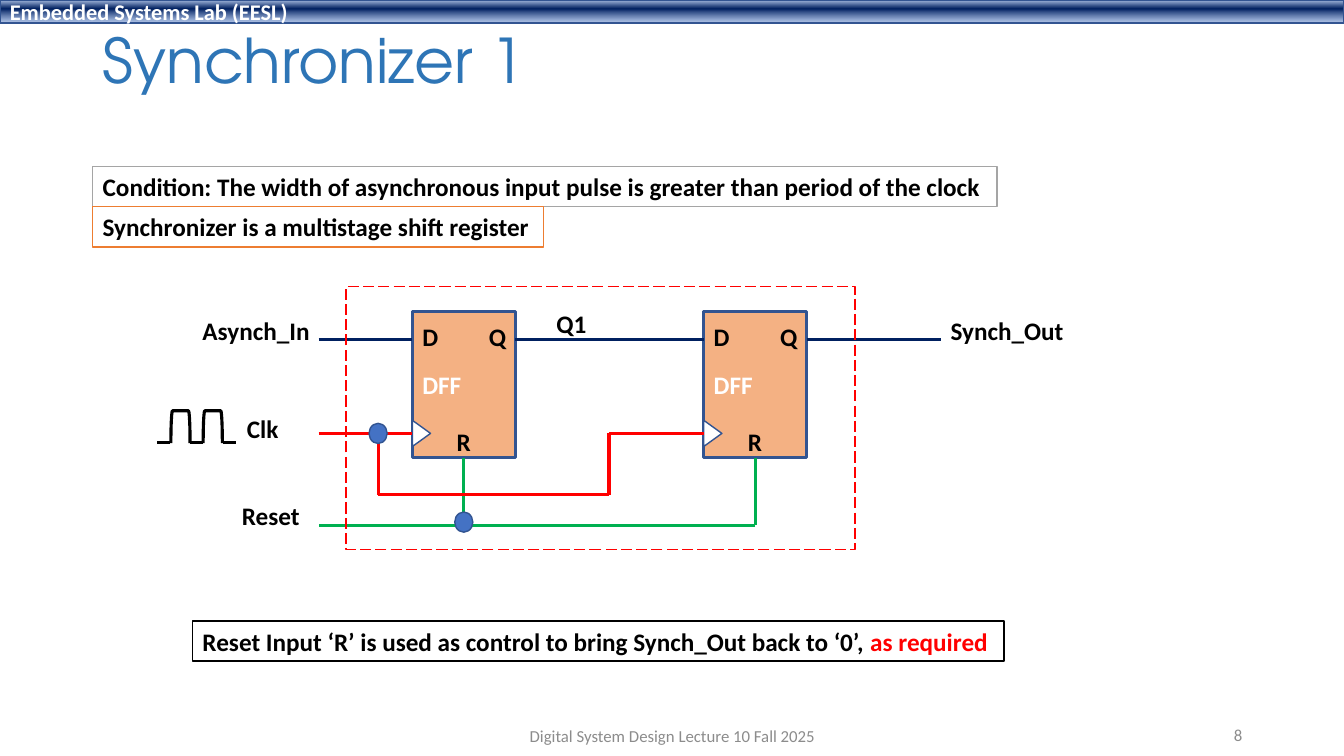
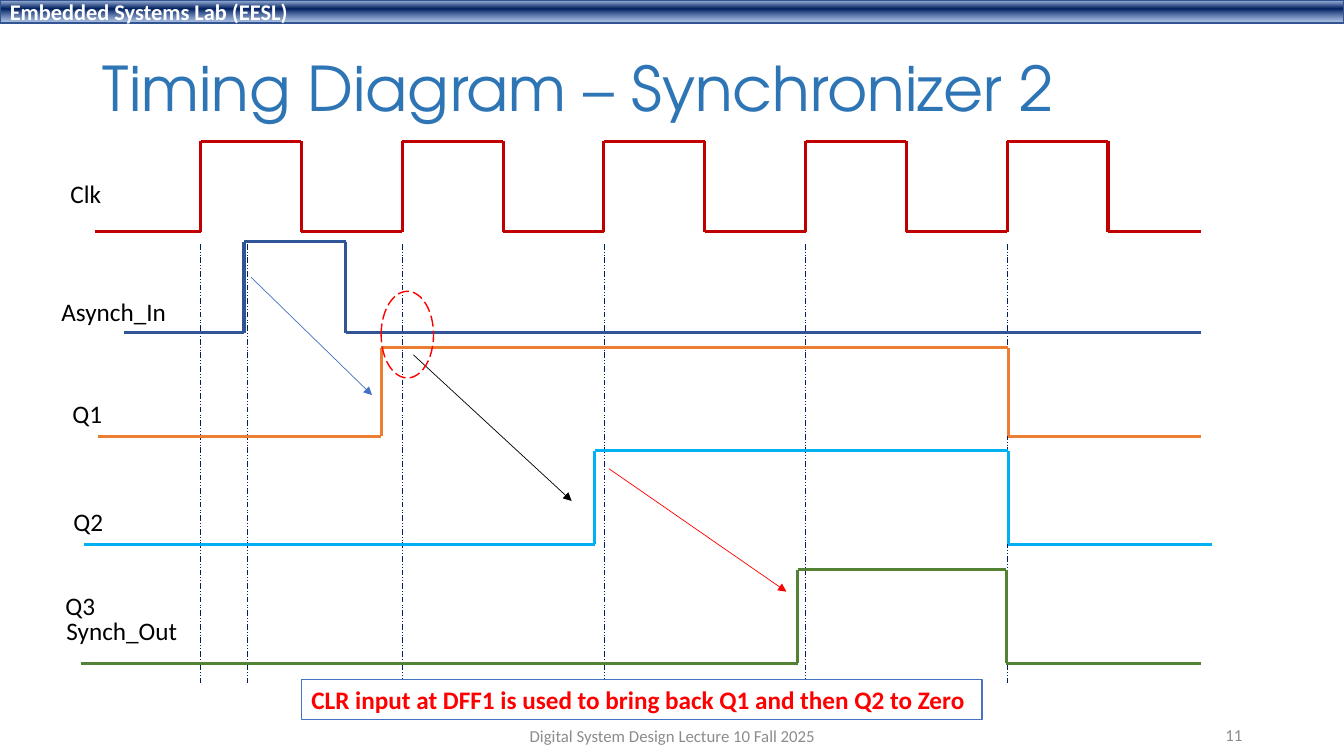
from itertools import pairwise

from lxml import etree
from pptx import Presentation
from pptx.dml.color import RGBColor
from pptx.enum.dml import MSO_LINE
from pptx.enum.shapes import MSO_CONNECTOR, MSO_SHAPE
from pptx.enum.text import MSO_ANCHOR, MSO_AUTO_SIZE, PP_ALIGN
from pptx.oxml import parse_xml
from pptx.oxml.ns import nsdecls, qn
from pptx.util import Inches, Pt

LEFT, CENTER, RIGHT = PP_ALIGN.LEFT, PP_ALIGN.CENTER, PP_ALIGN.RIGHT
TOP, MIDDLE = MSO_ANCHOR.TOP, MSO_ANCHOR.MIDDLE
LONG_DASH, DASH_DOT_DOT = MSO_LINE.LONG_DASH, MSO_LINE.DASH_DOT_DOT
BOTTOM_SITE = 2

# Shared style
COLORS = {
    "black": "000000", "white": "FFFFFF", "gray": "A5A5A5", "footer": "8C8C8C",
    "title": "2E75B6", "navy": "002060", "outline": "325491", "blue": "4472C4",
    "steel": "2F5597", "sky": "00B0F0", "red": "FF0000", "dark_red": "C00000",
    "orange": "ED7D31", "peach": "F4B183", "green": "00B050", "olive": "548235",
}
BODY_FONT, TITLE_FONT = "Calibri", "TeX Gyre Adventor"
LAB = "Embedded Systems Lab (EESL)"
FOOTER = "Digital System Design Lecture 10 Fall 2025"
BAND_GRADIENT = [(2, "ABC0E4", 100), (38, "002060", 100), (93, "7E9ED6", 64)]

# Synchronizer 1: boxed notes as (left, top, width, border, [(text, colour)])
NOTES = [
    (0.92, 1.65, 8.97, "gray",
     [("Condition: The width of asynchronous input pulse is greater than "
       "period of the clock", "black")]),
    (0.92, 2.05, 4.47, "orange",
     [("Synchronizer is a multistage shift register", "black")]),
    (1.91, 6.16, 8.05, "black",
     [("Reset Input ‘R’ is used as control to bring Synch_Out back to ‘0’, ", "black"),
      ("as required", "red")]),
]
SIGNAL_NAMES = [
    ("Asynch_In", 1.91, 3.08, 1.27), ("Clk", 2.35, 4.05, 0.52),
    ("Reset", 2.3, 4.91, 0.78), ("Q1", 5.42, 3.01, 0.5),
    ("Synch_Out", 9.33, 3.08, 1.33),
]
FLIP_FLOP_LEFTS = [4.09, 6.98]
FLIP_FLOP_TOP, FLIP_FLOP_W, FLIP_FLOP_H = 3.09, 1.02, 1.45
PINS = [("D", 0, 0.05, 0.36), ("Q", 0.66, 0.05, 0.38), ("R", 0.34, 1.09, 0.34)]
INPUT_X, DATA_Y, CLOCK_Y, RESET_Y = 3.16, 3.37, 4.3, 5.21
BRANCH_X, BRANCH_Y, RISE_X, OUTPUT_X = 3.75, 4.91, 6.04, 9.33

# Timing diagram: signals as (colour, start, end, low, high, edges)
CLOCK_EDGES = [1.99 + step for step in range(10)]
WAVES = [
    ("dark_red", 0.94, 11.91, 2.3, 1.4, CLOCK_EDGES),
    ("steel", 1.23, 11.91, 3.3, 2.4, [2.42, 3.43]),
    ("orange", 0.97, 11.91, 4.33, 3.45, [3.78, 10]),
    ("sky", 0.83, 12.02, 5.4, 4.47, [5.9, 10]),
    ("olive", 0.8, 11.91, 6.58, 5.65, [7.91, 9.98]),
]
WAVE_NAMES = [
    ("Clk", 0.6, 1.72, 0.51), ("Asynch_In", 0.51, 2.89, 1.25),
    ("Q1", 0.62, 3.9, 0.5), ("Q2", 0.63, 4.97, 0.5),
    ("Q3", 0.55, 5.81, 0.5), ("Synch_Out", 0.56, 6.06, 1.31),
]
CAUSES = [
    ("blue", (2.49, 2.75), (3.69, 3.92)),
    ("black", (4.1, 3.52), (5.67, 4.97)),
    ("red", (6.04, 4.65), (7.8, 5.87)),
]
GUIDES = CLOCK_EDGES[::2] + [2.45]
GUIDE_TOP, GUIDE_BOTTOM = 2.42, 6.78
CLEAR_NOTE = "CLR input at DFF1 is used to bring back Q1 and then Q2 to Zero"


def rgb(name):
    return RGBColor.from_string(COLORS[name])


def style_runs(paragraph, size, color, bold=False, font=BODY_FONT):
    for run in paragraph.runs:
        run.font.name, run.font.size, run.font.bold = font, Pt(size), bold
        run.font.color.rgb = rgb(color)


def set_line(line, color, width, dash=None):
    line.color.rgb = rgb(color)
    line.width = Pt(width)
    if dash is not None:
        line.dash_style = dash


def label(slide, text, left, top, width, color="black", size=18, bold=False,
          align=LEFT, anchor=TOP, border=None):
    box = slide.shapes.add_textbox(Inches(left), Inches(top), Inches(width), Inches(0.4))
    frame = box.text_frame
    frame.word_wrap = False
    frame.vertical_anchor = anchor
    paragraph = frame.paragraphs[0]
    paragraph.text = text
    paragraph.alignment = align
    style_runs(paragraph, size, color, bold)
    if border:
        box.fill.solid()
        box.fill.fore_color.rgb = rgb("white")
        set_line(box.line, border, 1)
    return box


def shape(slide, kind, left, top, width, height, fill=None, line="outline",
          weight=1, dash=None, rotation=0):
    part = slide.shapes.add_shape(
        kind, Inches(left), Inches(top), Inches(width), Inches(height))
    part.shadow.inherit = False
    part.rotation = rotation
    if fill:
        part.fill.solid()
        part.fill.fore_color.rgb = rgb(fill)
    else:
        part.fill.background()
    set_line(part.line, line, weight, dash)
    return part


def wire(slide, start, end, color, weight=2.25, dash=None, arrow=False):
    ends = [Inches(value) for value in (*start, *end)]
    line = slide.shapes.add_connector(MSO_CONNECTOR.STRAIGHT, *ends)
    set_line(line.line, color, weight, dash)
    properties = line._element.spPr
    if arrow:
        etree.SubElement(properties.find(qn("a:ln")), qn("a:tailEnd"), type="triangle")
    etree.SubElement(properties, qn("a:effectLst"))
    return line


def path_of_wires(slide, points, color):
    for start, end in pairwise(points):
        wire(slide, start, end, color)


def add_band(slide, layout):
    """Build the top band and place it on the layout that all slides share."""
    band = shape(slide, MSO_SHAPE.RECTANGLE, 0, 0, 13.33, 0.23, fill="navy")
    stops = "".join(
        f'<a:gs pos="{place * 1000}"><a:srgbClr val="{color}">'
        f'<a:alpha val="{alpha * 1000}"/></a:srgbClr></a:gs>'
        for place, color, alpha in BAND_GRADIENT)
    gradient = parse_xml(
        f'<a:gradFill {nsdecls("a")} rotWithShape="1"><a:gsLst>{stops}</a:gsLst>'
        '<a:lin ang="5400000" scaled="0"/></a:gradFill>')
    properties = band._element.spPr
    properties.replace(properties.find(qn("a:solidFill")), gradient)
    band.text_frame.text = LAB
    band.text_frame.vertical_anchor = MIDDLE
    paragraph = band.text_frame.paragraphs[0]
    paragraph.alignment = LEFT
    style_runs(paragraph, 16, "white", bold=True)
    layout.shapes._spTree.append(band._element)


def new_slide(prs, layout, title, top, height, number):
    slide = prs.slides.add_slide(layout)
    heading = slide.shapes.title
    heading.left, heading.top = Inches(0.92), Inches(top)
    heading.width, heading.height = Inches(11.5), Inches(height)
    frame = heading.text_frame
    frame.text = title
    frame.auto_size = MSO_AUTO_SIZE.NONE
    frame.vertical_anchor = MIDDLE
    paragraph = frame.paragraphs[0]
    paragraph.alignment = LEFT
    paragraph.line_spacing = 0.9
    style_runs(paragraph, 44, "title", font=TITLE_FONT)
    label(slide, FOOTER, 4.42, 7.1, 4.5, "footer", 12, align=CENTER, anchor=MIDDLE)
    label(slide, number, 9.42, 7.09, 3, "footer", 12, align=RIGHT, anchor=MIDDLE)
    return slide


def add_flip_flop(slide, left):
    block = shape(slide, MSO_SHAPE.RECTANGLE, left, FLIP_FLOP_TOP, FLIP_FLOP_W,
                  FLIP_FLOP_H, fill="peach", weight=2.25)
    block.text_frame.text = "DFF"
    style_runs(block.text_frame.paragraphs[0], 18, "white", bold=True)
    shape(slide, MSO_SHAPE.ISOSCELES_TRIANGLE, left - 0.04, CLOCK_Y - 0.09,
          0.26, 0.18, fill="white", rotation=90)
    for pin, dx, dy, width in PINS:
        label(slide, pin, left + dx, FLIP_FLOP_TOP + dy, width, bold=True)
    return block


def draw_circuit(slide):
    for left, top, width, border, pieces in NOTES:
        note = label(slide, "", left, top, width, border=border)
        paragraph = note.text_frame.paragraphs[0]
        for text, _ in pieces:
            paragraph.add_run().text = text
        style_runs(paragraph, 18, "black", bold=True)
        for run, (_, color) in zip(paragraph.runs, pieces):
            run.font.color.rgb = rgb(color)

    blocks = [add_flip_flop(slide, left) for left in FLIP_FLOP_LEFTS]
    first, second = FLIP_FLOP_LEFTS

    # Data, clock and reset wires
    for start, end in [(INPUT_X, first), (first + FLIP_FLOP_W, second),
                       (second + FLIP_FLOP_W, OUTPUT_X)]:
        wire(slide, (start, DATA_Y), (end, DATA_Y), "navy")
    wire(slide, (INPUT_X, CLOCK_Y), (first, CLOCK_Y), "red")
    for block, left in zip(blocks, FLIP_FLOP_LEFTS):
        x = left + FLIP_FLOP_W / 2
        drop = wire(slide, (x, FLIP_FLOP_TOP + FLIP_FLOP_H), (x, RESET_Y), "green")
        drop.begin_connect(block, BOTTOM_SITE)
    wire(slide, (second + FLIP_FLOP_W / 2, RESET_Y), (INPUT_X, RESET_Y), "green")
    path_of_wires(slide, [(BRANCH_X, CLOCK_Y), (BRANCH_X, BRANCH_Y), (RISE_X, BRANCH_Y),
                          (RISE_X, CLOCK_Y), (second, CLOCK_Y)], "red")
    shape(slide, MSO_SHAPE.RECTANGLE, 3.43, 2.84, 5.05, 2.61, line="red", dash=LONG_DASH)
    for x, y in [(first + FLIP_FLOP_W / 2, 5.18), (BRANCH_X, CLOCK_Y)]:
        shape(slide, MSO_SHAPE.OVAL, x - 0.09, y - 0.1, 0.18, 0.2, fill="blue")

    for text, left, top, width in SIGNAL_NAMES:
        label(slide, text, left, top, width, bold=True)

    # Clock pulse symbol
    for left in (1.63, 1.95):
        shape(slide, MSO_SHAPE.LEFT_BRACKET, left, 4.14, 0.32, 0.19,
              line="black", weight=2.25, rotation=90)
    for left in (1.56, 1.88, 2.21):
        wire(slide, (left, 4.39), (left + 0.13, 4.39), "black")


def draw_timing(slide):
    for x in GUIDES:
        wire(slide, (x, GUIDE_TOP), (x, GUIDE_BOTTOM), "navy", 0.5, DASH_DOT_DOT)
    for color, start, end, low, high, edges in WAVES:
        points, level, other = [(start, low)], low, high
        for x in edges:
            points += [(x, level), (x, other)]
            level, other = other, level
        path_of_wires(slide, points + [(end, level)], color)
    for text, left, top, width in WAVE_NAMES:
        label(slide, text, left, top, width)
    for color, start, end in CAUSES:
        wire(slide, start, end, color, 0.5, arrow=True)
    shape(slide, MSO_SHAPE.OVAL, 3.78, 2.89, 0.52, 0.86, line="red", dash=LONG_DASH)
    label(slide, CLEAR_NOTE, 2.99, 6.74, 6.75, "red", bold=True, border="blue")


def main():
    prs = Presentation()
    prs.slide_width, prs.slide_height = Inches(13.33), Inches(7.5)
    layout = prs.slide_layouts.get_by_name("Title Only")
    circuit = new_slide(prs, layout, "Synchronizer 1", 0.15, 0.97, "8")
    add_band(circuit, layout)
    draw_circuit(circuit)
    timing = new_slide(prs, layout, "Timing Diagram – Synchronizer 2", 0.4, 1.02, "11")
    draw_timing(timing)
    prs.save("out.pptx")


if __name__ == "__main__":
    main()
